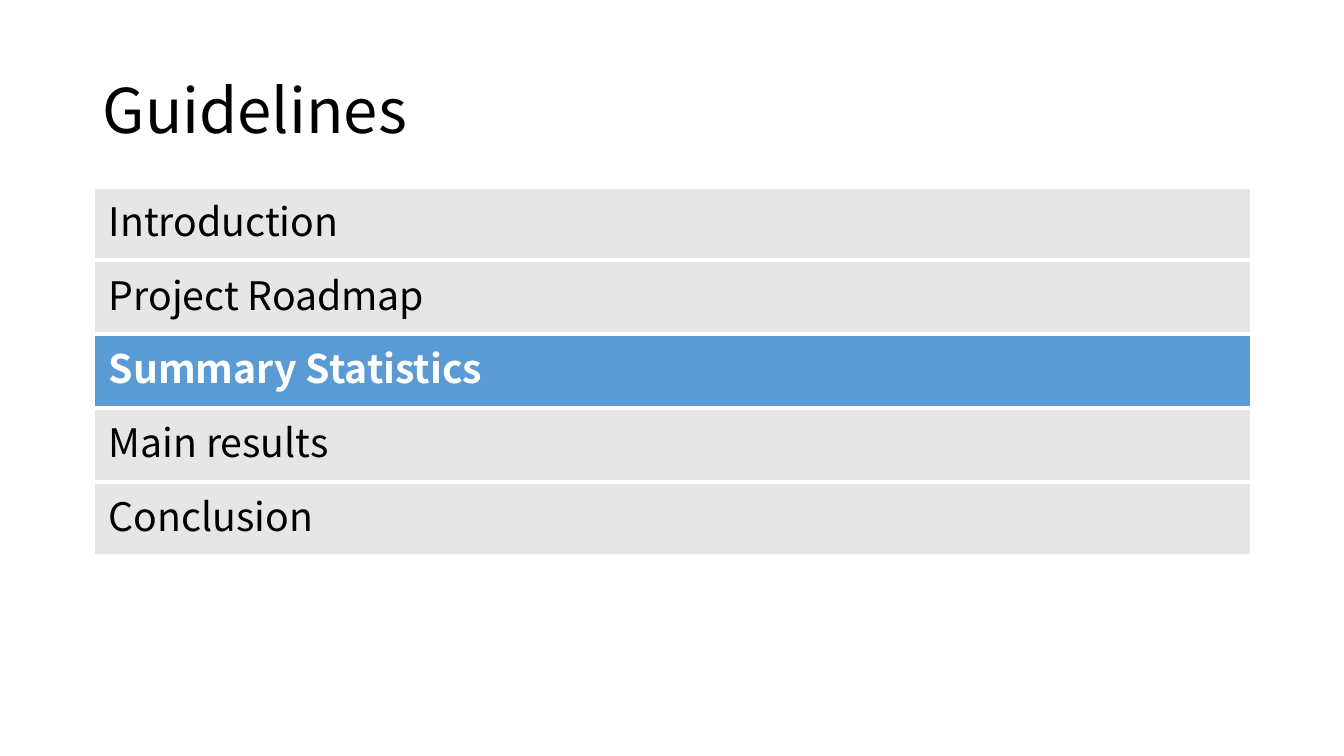
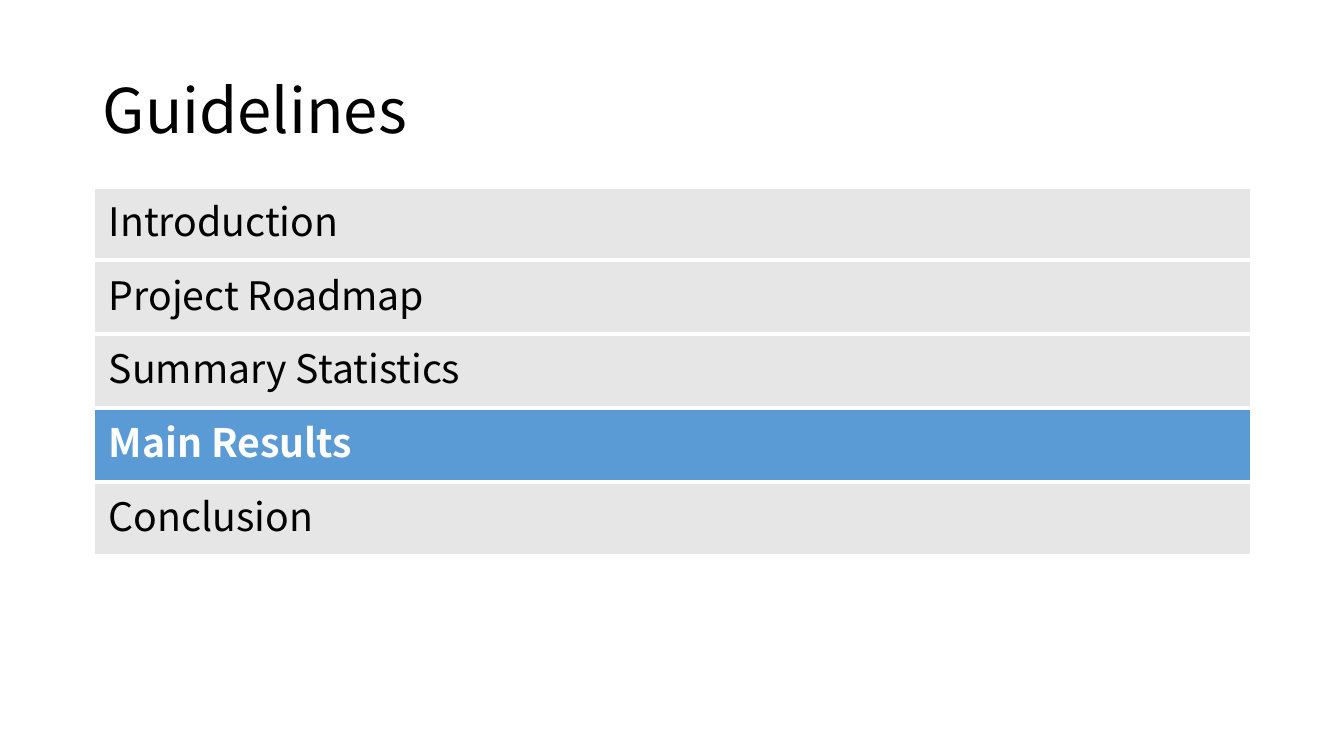
from pptx import Presentation
from pptx.dml.color import RGBColor
from pptx.enum.shapes import MSO_SHAPE
from pptx.enum.text import MSO_ANCHOR, MSO_AUTO_SIZE, PP_ALIGN
from pptx.util import Inches, Pt

RECT = MSO_SHAPE.RECTANGLE
MIDDLE = MSO_ANCHOR.MIDDLE
LEFT = PP_ALIGN.LEFT
NO_FIT = MSO_AUTO_SIZE.NONE

BLACK = RGBColor(0x00, 0x00, 0x00)
WHITE = RGBColor(0xFF, 0xFF, 0xFF)
GRAY = RGBColor(0xE7, 0xE6, 0xE6)
BLUE = RGBColor(0x5B, 0x9B, 0xD5)
FONT = "Noto Sans CJK SC"

TITLE = "Guidelines"
# Each agenda: its topics and the index of the current one
AGENDAS = [
    (["Introduction", "Project Roadmap", "Summary Statistics",
      "Main results", "Conclusion"], 2),
    (["Introduction", "Project Roadmap", "Summary Statistics",
      "Main Results", "Conclusion"], 3),
]

WIDE, HIGH = Inches(13.33), Inches(7.5)
EDGE = Inches(0.92)
SPAN = Inches(11.5)
HEAD = Inches(0.4)
TOP = Inches(1.85)
ROW = Inches(0.733)
PAD = Inches(0.16)


def style(frame, size, color, bold=False):
    frame.vertical_anchor = MIDDLE
    frame.auto_size = NO_FIT
    para = frame.paragraphs[0]
    para.alignment = LEFT
    para.line_spacing = 0.9
    font = para.font
    font.name, font.size, font.bold = FONT, Pt(size), bold
    font.color.rgb = color


def add_title(slide):
    title = slide.shapes.title
    title.left, title.top = EDGE, HEAD
    title.width, title.height = SPAN, TOP - HEAD
    title.text_frame.text = TITLE
    style(title.text_frame, 44, BLACK)


def add_bar(slide, row, topic, current):
    bar = slide.shapes.add_shape(RECT, EDGE, TOP + row * ROW, SPAN, ROW)
    bar.shadow.inherit = False
    bar.fill.solid()
    bar.fill.fore_color.rgb = BLUE if current else GRAY
    bar.line.color.rgb = WHITE
    bar.line.width = Pt(3)
    frame = bar.text_frame
    frame.text = topic
    frame.word_wrap = False
    frame.margin_left = frame.margin_top = frame.margin_bottom = PAD
    frame.margin_right = 0
    style(frame, 28, WHITE if current else BLACK, current)


def main():
    deck = Presentation()
    deck.slide_width, deck.slide_height = WIDE, HIGH
    layout = deck.slide_layouts.get_by_name("Title Only")
    for topics, now in AGENDAS:
        slide = deck.slides.add_slide(layout)
        add_title(slide)
        for row, topic in enumerate(topics):
            add_bar(slide, row, topic, row == now)
    deck.save("out.pptx")


if __name__ == "__main__":
    main()
